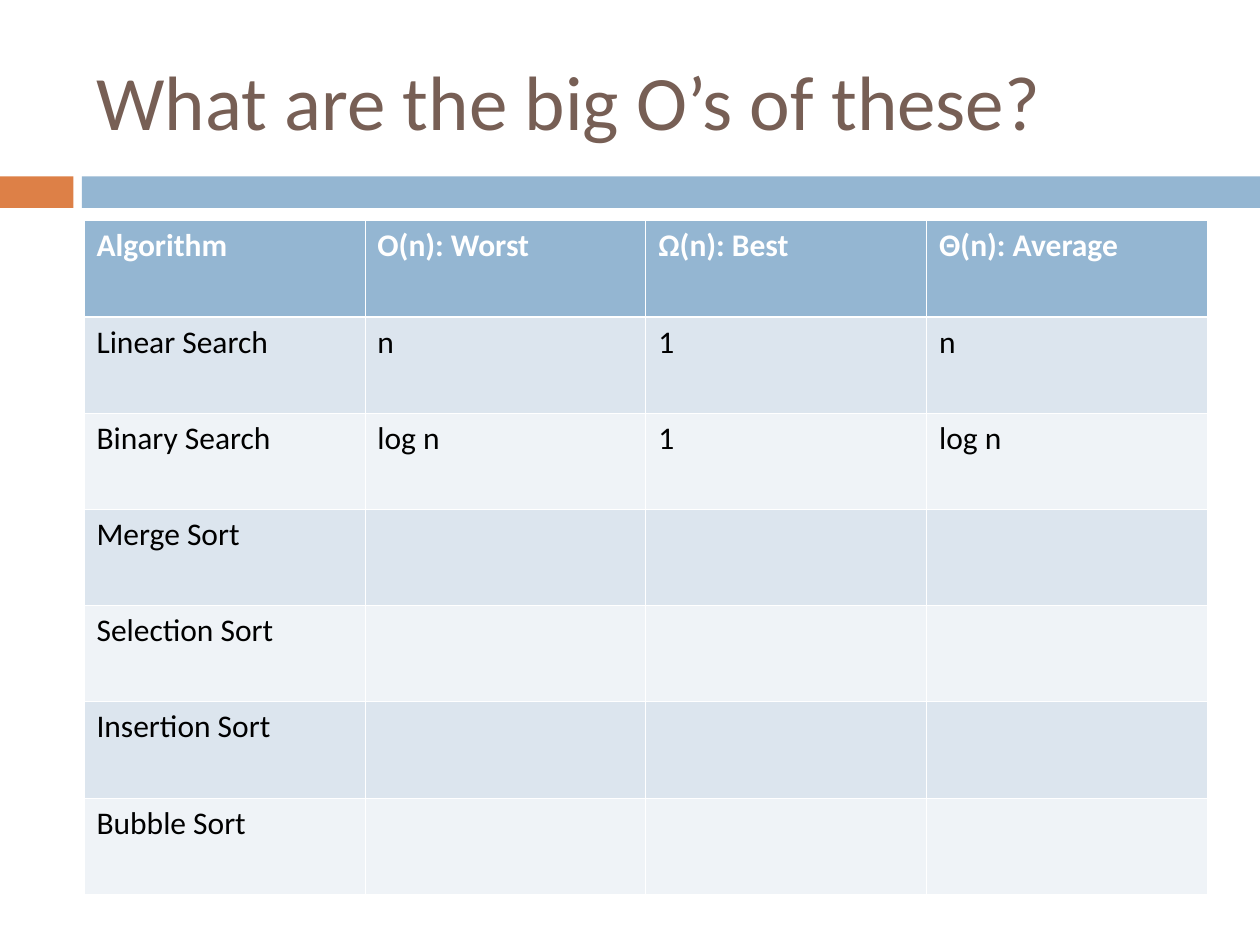
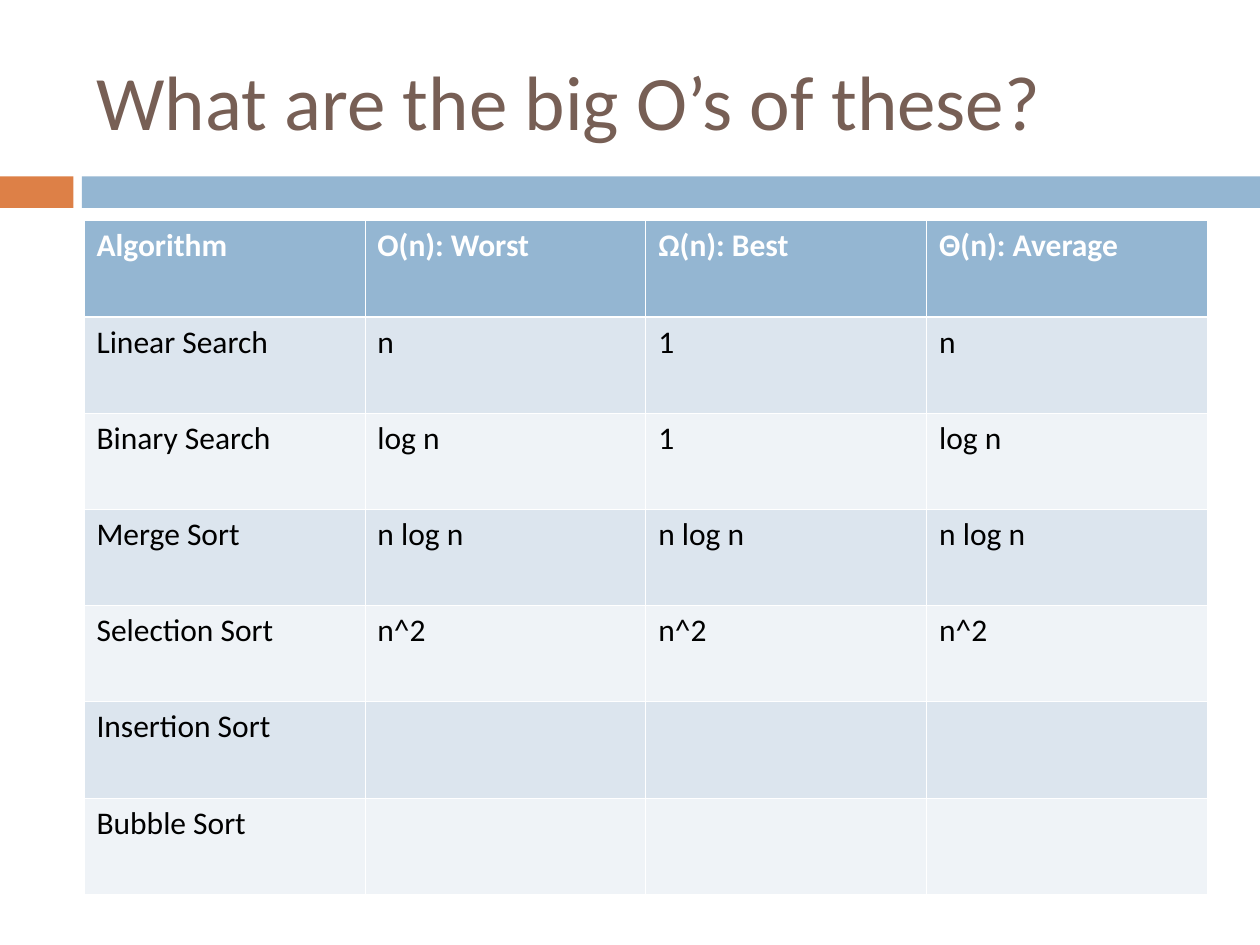
from dataclasses import dataclass

from lxml import etree
from pptx import Presentation
from pptx.dml.color import RGBColor
from pptx.enum.shapes import MSO_SHAPE
from pptx.enum.text import MSO_ANCHOR
from pptx.oxml.ns import qn
from pptx.util import Pt

RECTANGLE = MSO_SHAPE.RECTANGLE
MIDDLE = MSO_ANCHOR.MIDDLE
TOP = MSO_ANCHOR.TOP

FONT = "Calibri"
BROWN, ORANGE, BLUE = "775F55", "DD8047", "94B6D2"
WHITE, BLACK = "FFFFFF", "000000"
ROW_FILLS = ("DCE5EE", "EFF3F7")
THIN, THICK = 0.45, 1.47


@dataclass
class Box:
    left: float
    top: float
    width: float
    height: float

    def lengths(self):
        return [Pt(n) for n in (self.left, self.top, self.width, self.height)]


PAGE_WIDTH, PAGE_HEIGHT = 720, 540
TITLE_BOX = Box(48, 18, 642, 78)
BAND_BOX = Box(0, 100.8, PAGE_WIDTH, 18)
TABLE_BOX = Box(48, 126, 642, 385)

TITLE = "What are the big O’s of these?"
HEADER = ("Algorithm", "O(n): Worst", "Ω(n): Best", "Θ(n): Average")
ALGORITHMS = ("Linear Search", "Binary Search", "Merge Sort",
              "Selection Sort", "Insertion Sort", "Bubble Sort")
SEARCH_COSTS = {
    "Linear Search": ("n", "1", "n"),
    "Binary Search": ("log n", "1", "log n"),
}
SORT_COSTS = {
    "Merge Sort": ("n log n",) * 3,
    "Selection Sort": ("n^2",) * 3,
}
UNKNOWN_COSTS = ("",) * 3


def color(hex_text):
    return RGBColor.from_string(hex_text)


def write_text(frame, text, size=18, ink=BLACK, bold=False, anchor=TOP):
    frame.word_wrap = True
    frame.vertical_anchor = anchor
    para = frame.paragraphs[0]
    para.font.size = Pt(size)
    if text:
        span = para.add_run()
        span.text = text
        span.font.name = FONT
        span.font.size = Pt(size)
        span.font.bold = bold
        span.font.color.rgb = color(ink)


def add_bar(page, box, fill):
    bar = page.shapes.add_shape(RECTANGLE, *box.lengths())
    bar.shadow.inherit = False
    bar.fill.solid()
    bar.fill.fore_color.rgb = color(fill)
    bar.line.fill.background()


def add_band(page, box, accent_width=42, gap=4.8):
    offset = accent_width + gap
    add_bar(page, Box(box.left, box.top, accent_width, box.height), ORANGE)
    add_bar(page, Box(box.left + offset, box.top, box.width - offset, box.height), BLUE)


def add_title(page, box, text):
    title = page.shapes.add_textbox(*box.lengths())
    write_text(title.text_frame, text, size=44, ink=BROWN, anchor=MIDDLE)


def add_borders(cell, top, bottom):
    properties = cell._tc.get_or_add_tcPr()
    for side, width in (("L", THIN), ("R", THIN), ("T", top), ("B", bottom)):
        line = etree.SubElement(properties, qn(f"a:ln{side}"), w=str(Pt(width)))
        fill = etree.SubElement(line, qn("a:solidFill"))
        etree.SubElement(fill, qn("a:srgbClr"), val=WHITE)


def add_cost_table(page, box, rows):
    table = page.shapes.add_table(len(rows), len(HEADER), *box.lengths()).table
    for column in table.columns:
        column.width = Pt(box.width / len(HEADER))
    for index, texts in enumerate(rows):
        table.rows[index].height = Pt(box.height / len(rows))
        is_header = index == 0
        for cell, text in zip(table.rows[index].cells, texts):
            add_borders(cell, top=THICK if index == 1 else THIN,
                        bottom=THICK if is_header else THIN)
            cell.fill.solid()
            cell.fill.fore_color.rgb = color(BLUE if is_header else ROW_FILLS[(index - 1) % 2])
            write_text(cell.text_frame, text, bold=is_header,
                       ink=WHITE if is_header else BLACK)


def add_cost_page(deck, costs):
    page = deck.slides.add_slide(deck.slide_layouts[6])
    add_band(page, BAND_BOX)
    add_title(page, TITLE_BOX, TITLE)
    rows = [HEADER] + [(name, *costs.get(name, UNKNOWN_COSTS)) for name in ALGORITHMS]
    add_cost_table(page, TABLE_BOX, rows)


def main():
    deck = Presentation()
    deck.slide_width, deck.slide_height = Pt(PAGE_WIDTH), Pt(PAGE_HEIGHT)
    for costs in (SEARCH_COSTS, SEARCH_COSTS | SORT_COSTS):
        add_cost_page(deck, costs)
    deck.save("out.pptx")


if __name__ == "__main__":
    main()
